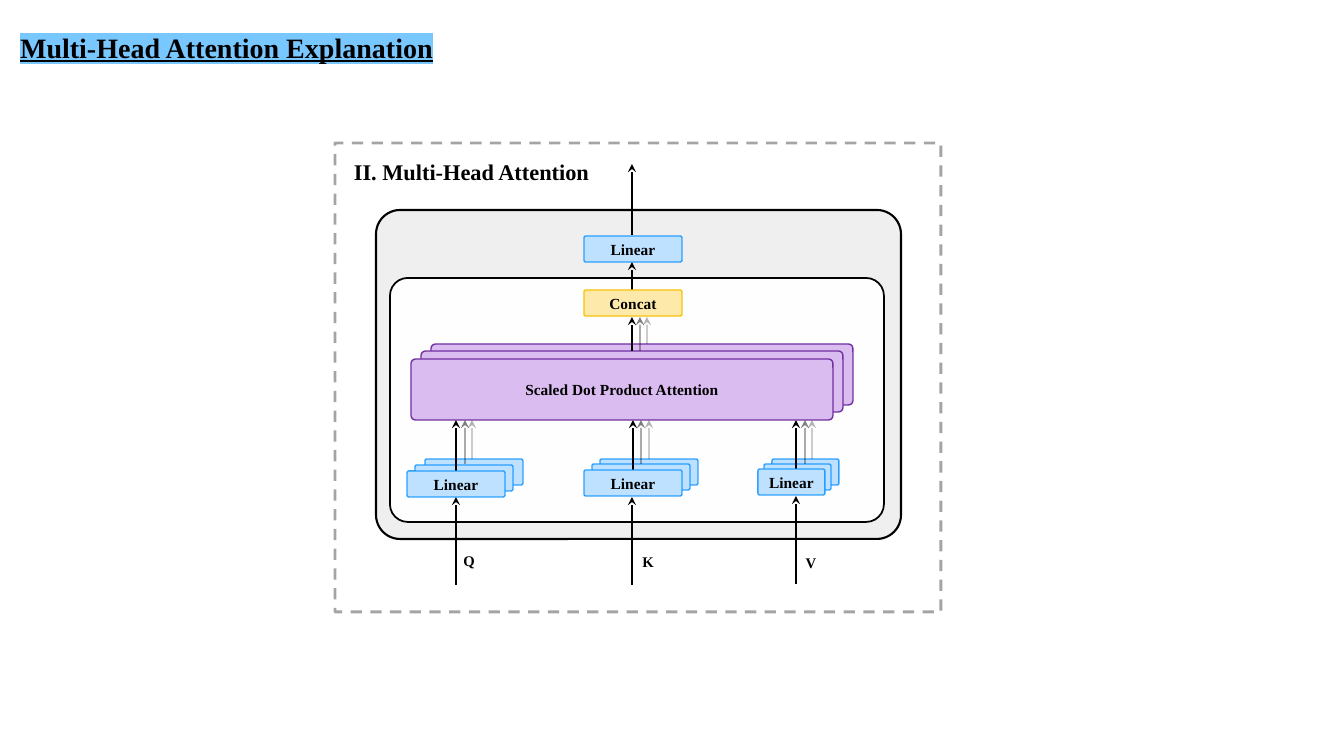
from pptx import Presentation
from pptx.dml.color import RGBColor
from pptx.enum.dml import MSO_LINE as Dash
from pptx.enum.shapes import MSO_CONNECTOR as Connector, MSO_SHAPE as Preset
from pptx.enum.text import MSO_ANCHOR as Anchor, MSO_AUTO_SIZE as Fit, PP_ALIGN as Align
from pptx.oxml.ns import qn
from pptx.util import Emu, Pt
from lxml.etree import SubElement

SCALE = 914400 / 100.8
FONT = "Times New Roman"
BLACK, WHITE, GREY = "000000", "FFFFFF", "E7E6E6"
BLUE, BLUE_LINE = "BEE1FF", "028DFF"
PURPLE, PURPLE_LINE = "DBBCF0", "7030A0"
YELLOW, YELLOW_LINE = "FDEAAB", "F9C10A"
FADES = (100, 50, 30)  # opacity of the three arrows of a stack


def px(*lengths):
    return [Emu(round(length * SCALE)) for length in lengths]


def colour(code):
    return RGBColor.from_string(code)


def fade(holder, percent):
    """Give the solid fill inside holder an opacity."""
    if percent < 100:
        tone = holder.find(qn("a:solidFill")).find(qn("a:srgbClr"))
        SubElement(tone, qn("a:alpha")).set("val", str(percent * 1000))


def write(frame, text, size, align=Align.LEFT):
    frame.text = text
    para = frame.paragraphs[0]
    para.alignment = align
    span = para.runs[0]
    span.font.name = FONT
    span.font.size = Pt(size)
    span.font.bold = True
    span.font.color.rgb = colour(BLACK)
    return span


def add_box(shapes, place, fill, line, width=1, text="", preset=Preset.ROUNDED_RECTANGLE,
            fill_opacity=100, line_opacity=100):
    box = shapes.add_shape(preset, *px(*place))
    box.shadow.inherit = False
    if preset == Preset.ROUNDED_RECTANGLE:
        box.adjustments[0] = 0.073
    box.fill.solid()
    box.fill.fore_color.rgb = colour(fill)
    box.line.color.rgb = colour(line)
    box.line.width = Pt(width)
    properties = box.element.spPr
    fade(properties, fill_opacity)
    fade(properties.find(qn("a:ln")), line_opacity)
    if text:
        frame = box.text_frame
        frame.margin_left = frame.margin_right = 0
        frame.vertical_anchor = Anchor.MIDDLE
        write(frame, text, 11, Align.CENTER)
    return box


def add_linear(shapes, place, text="", fill=BLUE, fill_opacity=100):
    add_box(shapes, place, fill, BLUE_LINE, text=text,
            fill_opacity=fill_opacity, line_opacity=80)


def add_arrow(shapes, x, bottom, top, opacity=100):
    arrow = shapes.add_connector(Connector.STRAIGHT, *px(x, bottom, x, top))
    arrow.line.color.rgb = colour(BLACK)
    arrow.line.width = Pt(1)
    properties = arrow.element.spPr
    line = properties.find(qn("a:ln"))
    fade(line, opacity)
    SubElement(line, qn("a:tailEnd")).set("type", "stealth")
    SubElement(properties, qn("a:effectLst"))


def add_arrow_stack(shapes, xs, bottoms, top):
    for x, bottom, opacity in zip(xs, bottoms, FADES):
        add_arrow(shapes, x, bottom, top, opacity)


def add_label(shapes, place, text, size, align=Align.LEFT):
    label = shapes.add_textbox(*px(*place))
    label.text_frame.word_wrap = False
    write(label.text_frame, text, size, align)


def add_title(page, text):
    title = page.shapes.title
    title.left, title.top, title.width, title.height = px(10, 25, 436, 44)
    frame = title.text_frame
    frame.word_wrap = False
    frame.auto_size = Fit.SHAPE_TO_FIT_TEXT
    frame.vertical_anchor = Anchor.TOP
    span = write(frame, text, 20)
    span.font.underline = True
    properties = span.font.color and span._r.get_or_add_rPr()
    highlight = SubElement(properties, qn("a:highlight"))
    SubElement(highlight, qn("a:srgbClr")).set("val", "79C7FF")
    properties.find(qn("a:latin")).addprevious(highlight)


def add_head(page, name, width, corners, back_fill, arrow_xs, input_x, feet, label_at):
    """Stacked linear layers of one input, with its arrows and label."""
    shapes = page.shapes.add_group_shape().shapes
    front, middle, back = [(*corner, width, 26) for corner in corners]
    add_linear(shapes, back, fill=back_fill[0], fill_opacity=back_fill[1])
    add_linear(shapes, middle)
    add_arrow(shapes, input_x, feet, feet - 88)
    add_label(shapes, (*label_at, 32, 28), name, 10.5, Align.CENTER)
    add_arrow_stack(shapes, arrow_xs, (471, 464, 459), 420)
    add_linear(shapes, front, "Linear")


def add_attention(page):
    shapes = page.shapes.add_group_shape().shapes
    back, middle, front = [(x, y, 422, 61) for x, y in ((431, 344), (421, 351), (411, 359))]
    add_box(shapes, back, PURPLE, PURPLE_LINE)
    add_box(shapes, middle, PURPLE, PURPLE_LINE)
    add_arrow_stack(shapes, (632, 640, 647), (351, 351, 344), 317)
    add_box(shapes, front, PURPLE, PURPLE_LINE, text="Scaled Dot Product Attention")


def main():
    deck = Presentation()
    deck.slide_width, deck.slide_height = px(1344, 756)
    page = deck.slides.add_slide(deck.slide_layouts[5])
    shapes = page.shapes
    add_title(page, "Multi-Head Attention Explanation")

    # Frames
    frame = add_box(shapes, (335, 143, 606, 469), WHITE, "808080", 2,
                    preset=Preset.RECTANGLE, line_opacity=71)
    frame.line.dash_style = Dash.DASH
    add_box(shapes, (376, 210, 525, 329), GREY, BLACK, 1.5, fill_opacity=64)
    add_box(shapes, (390, 278, 494, 244), WHITE, BLACK, 1.25, fill_opacity=97)

    # Heads
    clear_blue, solid_blue = (BLUE_LINE, 26), (BLUE, 100)
    add_head(page, "V", 67, ((758, 469), (764, 464), (772, 459)), clear_blue,
             (796, 805, 812), 796, 584, (795, 549))
    add_head(page, "K", 98, ((584, 470), (592, 464), (600, 459)), clear_blue,
             (633, 641, 649), 632, 585, (632, 548))
    add_head(page, "Q", 98, ((407, 471), (415, 465), (425, 459)), solid_blue,
             (456, 465, 472), 456, 585, (453, 547))

    # Attention, concatenation and output
    add_attention(page)
    add_arrow(shapes, 632, 290, 262)
    add_linear(shapes, (584, 236, 98, 26), "Linear")
    add_box(shapes, (584, 290, 98, 26), YELLOW, YELLOW_LINE, text="Concat")
    add_arrow(shapes, 632, 235, 164)
    add_label(shapes, (344, 153, 259, 37), "II. Multi-Head Attention", 16)

    deck.save("out.pptx")


main()
